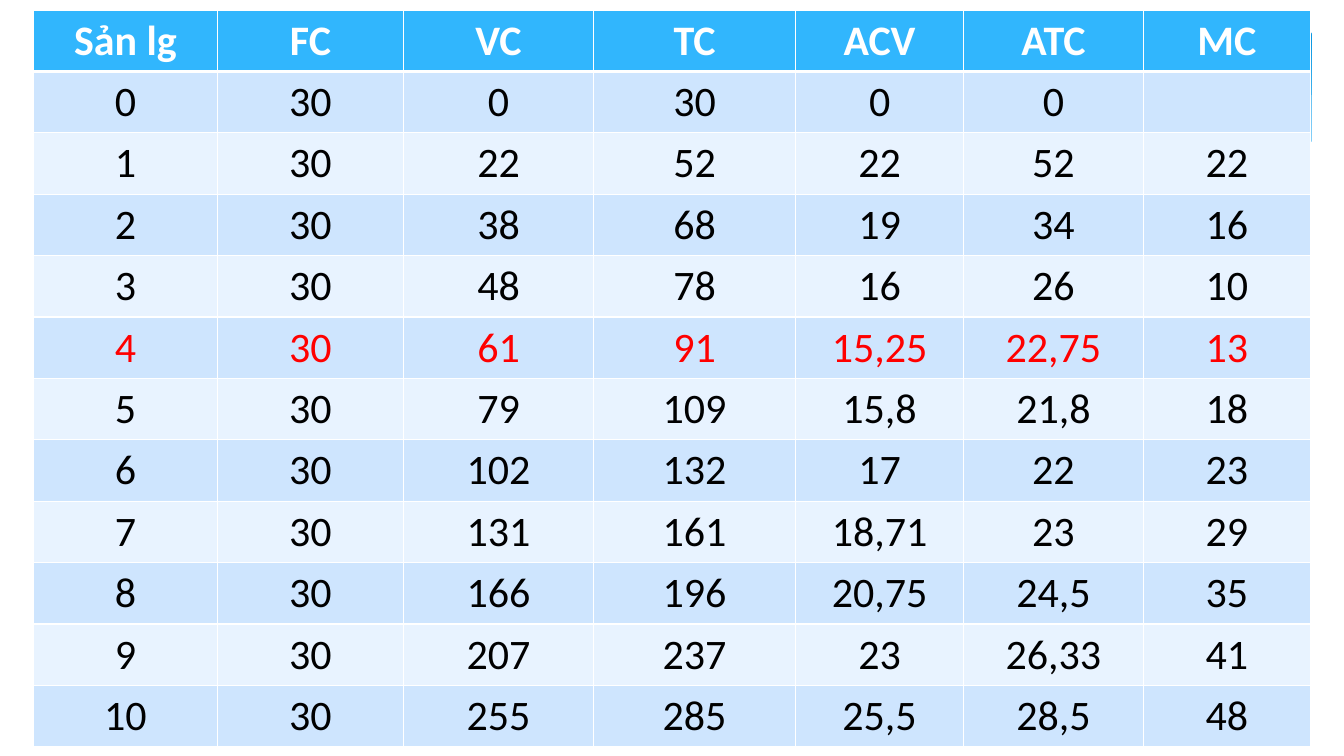
import dataclasses

import lxml.etree
import pptx
import pptx.dml.color
import pptx.enum.shapes
import pptx.enum.text
import pptx.oxml
import pptx.oxml.ns
import pptx.slide
import pptx.table
import pptx.util

Inches = pptx.util.Inches
Pt = pptx.util.Pt

COLORS = {
    "header": "31B6FD",
    "band_dark": "CEE5FE",
    "band_light": "E8F3FF",
    "white": "FFFFFF",
    "black": "000000",
    "highlight": "FF0000",
    "banner_top": "0293E0",
    "banner_bottom": "83D3FE",
    "swoosh": "C6E7FC",
}
FONT = "Calibri"
ROW_HEIGHT = 0.6
HIGHLIGHTED_OUTPUT = "4"


@dataclasses.dataclass(frozen=True)
class CostColumn:
    heading: str
    width: float
    values: str

    def entries(self) -> list[str]:
        return [self.heading, *self.values.split("|")]


@dataclasses.dataclass(frozen=True)
class RowStyle:
    fill: str
    text: str
    bold: bool = False
    top: float = 1
    bottom: float = 1


@dataclasses.dataclass(frozen=True)
class Wave:
    color: str
    opacity: int
    points: list[tuple[float, float]]


COST_COLUMNS = [
    CostColumn("Sản lg", 1.83, "0|1|2|3|4|5|6|7|8|9|10"),
    CostColumn("FC", 1.84, "30|30|30|30|30|30|30|30|30|30|30"),
    CostColumn("VC", 1.89, "0|22|38|48|61|79|102|131|166|207|255"),
    CostColumn("TC", 2, "30|52|68|78|91|109|132|161|196|237|285"),
    CostColumn("ACV", 1.67, "0|22|19|16|15,25|15,8|17|18,71|20,75|23|25,5"),
    CostColumn("ATC", 1.78, "0|52|34|26|22,75|21,8|22|23|24,5|26,33|28,5"),
    CostColumn("MC", 1.66, "|22|16|10|13|18|23|29|35|41|48"),
]

WAVES = [
    Wave("swoosh", 29, [
        (13.01, 0.94), (12.46, 1.01), (11.88, 1.1), (11.1, 1.25), (10.05, 1.43),
        (8.82, 1.6), (9.58, 1.67), (10.25, 1.71), (10.85, 1.72), (11.51, 1.7),
        (12.07, 1.63), (12.57, 1.54), (13.01, 1.42),
    ]),
    Wave("white", 100, [
        (13.03, 1.4), (12.54, 1.54), (11.98, 1.64), (11.34, 1.7), (10.58, 1.71),
        (9.69, 1.67), (8.63, 1.56), (7.4, 1.39), (5.96, 1.14), (4.86, 0.96),
        (3.9, 0.85), (3.06, 0.79), (2.35, 0.78), (1.58, 0.82), (1.01, 0.89),
        (0.61, 0.98), (0.31, 1.07), (0.31, 2.24), (13.03, 2.24),
    ]),
]


def rgb(name: str) -> pptx.dml.color.RGBColor:
    return pptx.dml.color.RGBColor.from_string(COLORS[name])


def row_style(index: int, output: str) -> RowStyle:
    if index == 0:
        return RowStyle("header", "white", bold=True, bottom=3)
    return RowStyle(
        fill="band_dark" if index % 2 else "band_light",
        text="highlight" if output == HIGHLIGHTED_OUTPUT else "black",
        top=3 if index == 1 else 1,
    )


def set_borders(cell: pptx.table._Cell, style: RowStyle) -> None:
    properties = cell._tc.get_or_add_tcPr()
    widths = {"lnL": 1, "lnR": 1, "lnT": style.top, "lnB": style.bottom}
    for position, (side, width) in enumerate(widths.items()):
        border = pptx.oxml.parse_xml(
            f'<a:{side} {pptx.oxml.ns.nsdecls("a")} w="{Pt(width)}">'
            f'<a:solidFill><a:srgbClr val="{COLORS["white"]}"/></a:solidFill></a:{side}>'
        )
        properties.insert(position, border)


def write_cell(cell: pptx.table._Cell, entry: str, style: RowStyle) -> None:
    cell.fill.solid()
    cell.fill.fore_color.rgb = rgb(style.fill)
    set_borders(cell, style)
    cell.text = entry
    paragraph = cell.text_frame.paragraphs[0]
    paragraph.alignment = pptx.enum.text.PP_ALIGN.CENTER
    paragraph.font.name = FONT
    paragraph.font.size = Pt(30)
    paragraph.font.bold = style.bold
    paragraph.font.color.rgb = rgb(style.text)


def draw_banner(slide: pptx.slide.Slide) -> None:
    banner = slide.shapes.add_shape(
        pptx.enum.shapes.MSO_SHAPE.ROUNDED_RECTANGLE,
        Inches(0.33), Inches(0.25), Inches(12.68), Inches(1.56),
    )
    banner.adjustments[0] = 0.07
    banner.shadow.inherit = False
    banner.line.fill.background()
    banner.fill.gradient()
    banner.fill.gradient_angle = 270
    top, bottom = banner.fill.gradient_stops
    top.position, bottom.position = 0, 0.9
    top.color.rgb = rgb("banner_top")
    bottom.color.rgb = rgb("banner_bottom")


def draw_wave(slide: pptx.slide.Slide, wave: Wave) -> None:
    start, *rest = [(Inches(x), Inches(y)) for x, y in wave.points]
    builder = slide.shapes.build_freeform(*start)
    builder.add_line_segments(rest, close=True)
    curve = builder.convert_to_shape()
    curve.shadow.inherit = False
    curve.line.fill.background()
    curve.fill.solid()
    curve.fill.fore_color.rgb = rgb(wave.color)
    if wave.opacity < 100:
        color = curve._element.spPr.find(".//" + pptx.oxml.ns.qn("a:srgbClr"))
        alpha = lxml.etree.SubElement(color, pptx.oxml.ns.qn("a:alpha"))
        alpha.set("val", str(wave.opacity * 1000))


def draw_cost_table(slide: pptx.slide.Slide) -> None:
    outputs = COST_COLUMNS[0].entries()
    costs = slide.shapes.add_table(
        len(outputs), len(COST_COLUMNS), Inches(0.33), Inches(0.1),
        Inches(sum(column.width for column in COST_COLUMNS)),
        Inches(ROW_HEIGHT * len(outputs)),
    ).table
    costs.first_row = False
    costs.horz_banding = False
    for column_index, column in enumerate(COST_COLUMNS):
        costs.columns[column_index].width = Inches(column.width)
        for row_index, entry in enumerate(column.entries()):
            style = row_style(row_index, outputs[row_index])
            write_cell(costs.cell(row_index, column_index), entry, style)


def main() -> None:
    deck = pptx.Presentation()
    deck.slide_width = Inches(13.33)
    deck.slide_height = Inches(7.5)
    slide = deck.slides.add_slide(deck.slide_layouts[6])

    # Banner with its waves, showing at the right edge of the table
    draw_banner(slide)
    for wave in WAVES:
        draw_wave(slide, wave)

    # Cost table by output level
    draw_cost_table(slide)

    deck.save("out.pptx")


if __name__ == "__main__":
    main()
